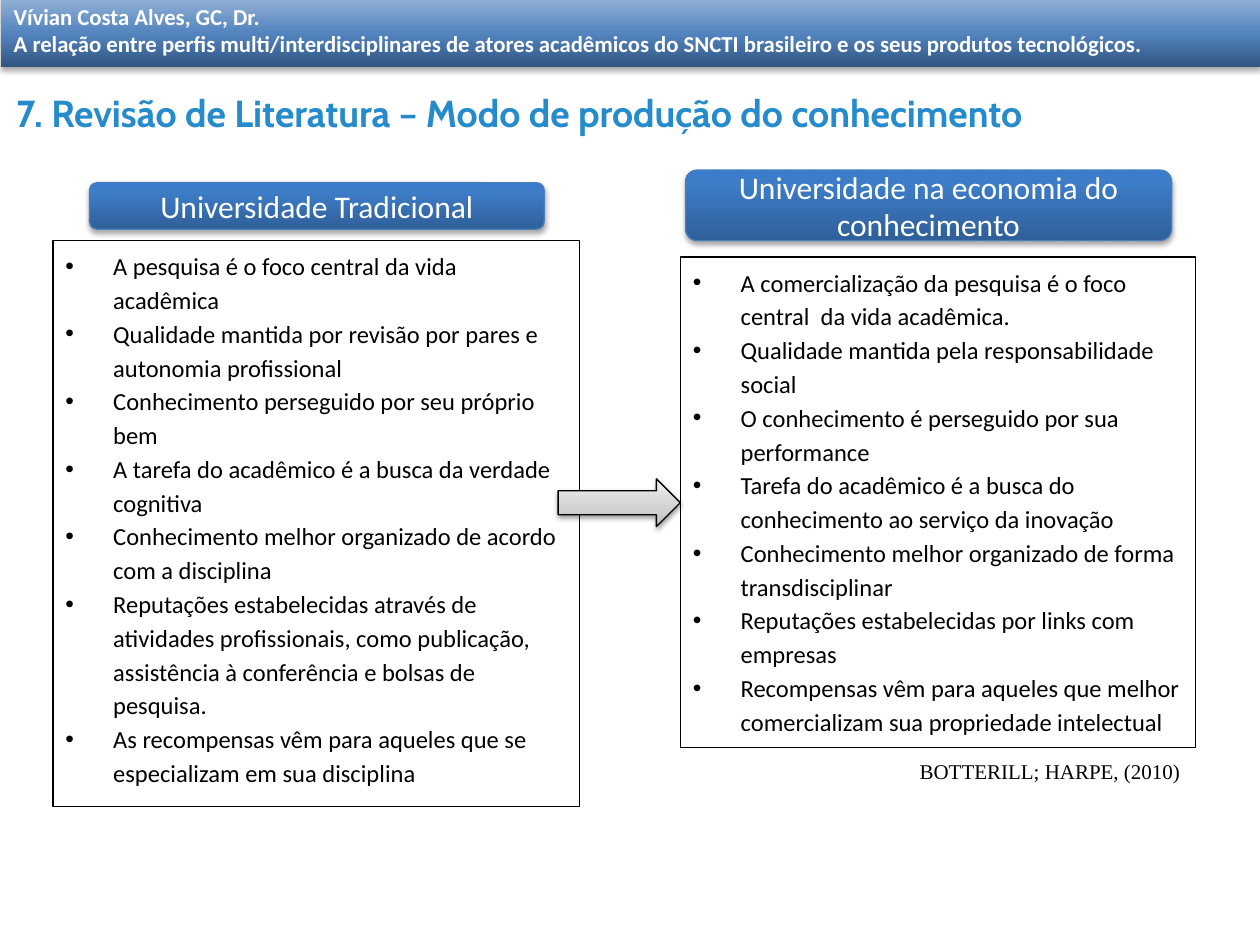
from dataclasses import dataclass

from lxml import etree
from pptx import Presentation, util as u
from pptx.dml.color import RGBColor
from pptx.enum import shapes, text
from pptx.oxml import ns

BLACK, WHITE = "000000", "FFFFFF"
HEADER_STOPS = ((0, "315683"), (48, "5485BF"), (100, "95B3D7"))
LABEL_STOPS = ((0, "2F5F99"), (80, "3D7CC7"), (100, "3A7CCB"))
ARROW_STOPS = ((0, "BDBDBD"), (35, "D1D1D1"), (100, "EEEEEE"))


@dataclass
class Box:
    left: float
    top: float
    width: float
    height: float

    def lengths(self) -> tuple:
        return tuple(u.Inches(v) for v in (self.left, self.top, self.width, self.height))


@dataclass
class Column:
    label: str
    label_box: Box
    list_box: Box
    auto_size: text.MSO_AUTO_SIZE
    items: tuple[str, ...]


COLUMNS = (
    Column("Universidade Tradicional", Box(0.71, 1.45, 3.61, 0.37),
           Box(0.42, 1.91, 4.18, 4.49), text.MSO_AUTO_SIZE.NONE, (
        "A pesquisa é o foco central da vida acadêmica",
        "Qualidade mantida por revisão por pares e autonomia profissional",
        "Conhecimento perseguido por seu próprio bem",
        "A tarefa do acadêmico é a busca da verdade cognitiva",
        "Conhecimento melhor organizado de acordo com a disciplina",
        "Reputações estabelecidas através de atividades profissionais, como publicação, "
        "assistência à conferência e bolsas de pesquisa.",
        "As recompensas vêm para aqueles que se especializam em sua disciplina")),
    Column("Universidade na economia do conhecimento", Box(5.44, 1.35, 3.86, 0.56),
           Box(5.4, 2.04, 4.09, 3.89), text.MSO_AUTO_SIZE.SHAPE_TO_FIT_TEXT, (
        "A comercialização da pesquisa é o foco central  da vida acadêmica.",
        "Qualidade mantida pela responsabilidade social",
        "O conhecimento é perseguido por sua performance",
        "Tarefa do acadêmico é a busca do conhecimento ao serviço da inovação",
        "Conhecimento melhor organizado de forma transdisciplinar",
        "Reputações estabelecidas por links com empresas",
        "Recompensas vêm para aqueles que melhor comercializam sua propriedade intelectual")),
)


def color(value: str) -> RGBColor:
    return RGBColor.from_string(value)


def add_child(parent, tag: str, **attributes: str):
    return etree.SubElement(parent, ns.qn(tag), attributes)


def add_color(parent, value: str):
    return add_child(parent, "a:srgbClr", val=value)


def add_box(slide, kind, box: Box, line: str | None = None):
    shape = slide.shapes.add_shape(kind, *box.lengths())
    shape.shadow.inherit = False
    if line:
        shape.line.color.rgb = color(line)
        shape.line.width = u.Pt(0.75)
    else:
        shape.line.fill.background()
    return shape


def add_glossy_box(slide, kind, box: Box, stops: tuple, line: str | None = None,
                   opacity: int = 35, distance: float = 1.8):
    shape = add_box(slide, kind, box, line)
    shape.fill.gradient()
    shape.fill.gradient_angle = 90
    properties = shape.element.spPr
    stop_list = properties.find(ns.qn("a:gradFill")).find(ns.qn("a:gsLst"))
    for old_stop in list(stop_list):
        stop_list.remove(old_stop)
    for position, value in stops:
        add_color(add_child(stop_list, "a:gs", pos=str(position * 1000)), value)
    shadow = add_child(properties.find(ns.qn("a:effectLst")), "a:outerShdw",
                       blurRad=str(u.Pt(3.1)), dist=str(u.Pt(distance)),
                       dir="5400000", rotWithShape="0")
    add_child(add_color(shadow, BLACK), "a:alpha", val=str(opacity * 1000))
    return shape


def write(shape, content: str, size: float, value: str, font: str = "Calibri",
          bold: bool = False, align=text.PP_ALIGN.LEFT, anchor=text.MSO_ANCHOR.TOP,
          wrap: bool = True, auto_size=text.MSO_AUTO_SIZE.NONE):
    frame = shape.text_frame
    frame.text = content
    frame.word_wrap = wrap
    frame.auto_size = auto_size
    frame.vertical_anchor = anchor
    for paragraph in frame.paragraphs:
        paragraph.alignment = align
        for run in paragraph.runs:
            run.font.name = font
            run.font.size = u.Pt(size)
            run.font.bold = bold
            run.font.color.rgb = color(value)
    return frame


def add_bullets(frame) -> None:
    for paragraph in frame.paragraphs:
        paragraph.line_spacing = 1.15
        properties = paragraph._p.get_or_add_pPr()
        properties.set("marL", str(u.Inches(0.38)))
        properties.set("indent", str(-u.Inches(0.38)))
        add_child(properties, "a:buFont", typeface="Arial")
        add_child(properties, "a:buChar", char="•")
    frame.paragraphs[-1].space_after = u.Pt(10)


def add_header(slide) -> None:
    header = add_glossy_box(slide, shapes.MSO_SHAPE.RECTANGLE,
                            Box(0.01, -0.03, 9.99, 0.56), HEADER_STOPS)
    frame = write(header, "Vívian Costa Alves, GC, Dr.\n"
                  "A relação entre perfis multi/interdisciplinares de atores acadêmicos do "
                  "SNCTI brasileiro e os seus produtos tecnológicos.", 13, WHITE, bold=True,
                  auto_size=text.MSO_AUTO_SIZE.SHAPE_TO_FIT_TEXT)
    frame.paragraphs[0].line_spacing = 1


def add_title(slide) -> None:
    title = slide.shapes.title
    title.left, title.top, title.width, title.height = Box(0.03, 0.66, 9.77, 0.57).lengths()
    write(title, "7. Revisão de Literatura – Modo de produção do conhecimento",
          21.5, "258BCC", font="Cabin", bold=True)


def add_column(slide, column: Column) -> None:
    panel = add_box(slide, shapes.MSO_SHAPE.RECTANGLE, column.list_box, BLACK)
    panel.fill.solid()
    panel.fill.fore_color.rgb = color(WHITE)
    add_bullets(write(panel, "\n".join(column.items), 14, BLACK, auto_size=column.auto_size))
    label = add_glossy_box(slide, shapes.MSO_SHAPE.ROUNDED_RECTANGLE, column.label_box,
                           LABEL_STOPS, "4B7EBC")
    write(label, column.label, 18, WHITE, align=text.PP_ALIGN.CENTER,
          anchor=text.MSO_ANCHOR.MIDDLE)


def main() -> None:
    presentation = Presentation()
    presentation.slide_width, presentation.slide_height = u.Inches(10), u.Inches(7.5)
    slide = presentation.slides.add_slide(presentation.slide_layouts.get_by_name("Title Only"))
    add_header(slide)
    add_title(slide)
    for column in COLUMNS:
        add_column(slide, column)
    citation = slide.shapes.add_textbox(*Box(7.2, 5.97, 2.29, 0.3).lengths())
    write(citation, "BOTTERILL; HARPE, (2010)", 12, BLACK, font="Times New Roman",
          wrap=False, auto_size=text.MSO_AUTO_SIZE.SHAPE_TO_FIT_TEXT)
    add_glossy_box(slide, shapes.MSO_SHAPE.RIGHT_ARROW, Box(4.43, 3.8, 0.97, 0.38),
                   ARROW_STOPS, BLACK, opacity=38, distance=1.6)
    presentation.save("out.pptx")


if __name__ == "__main__":
    main()
